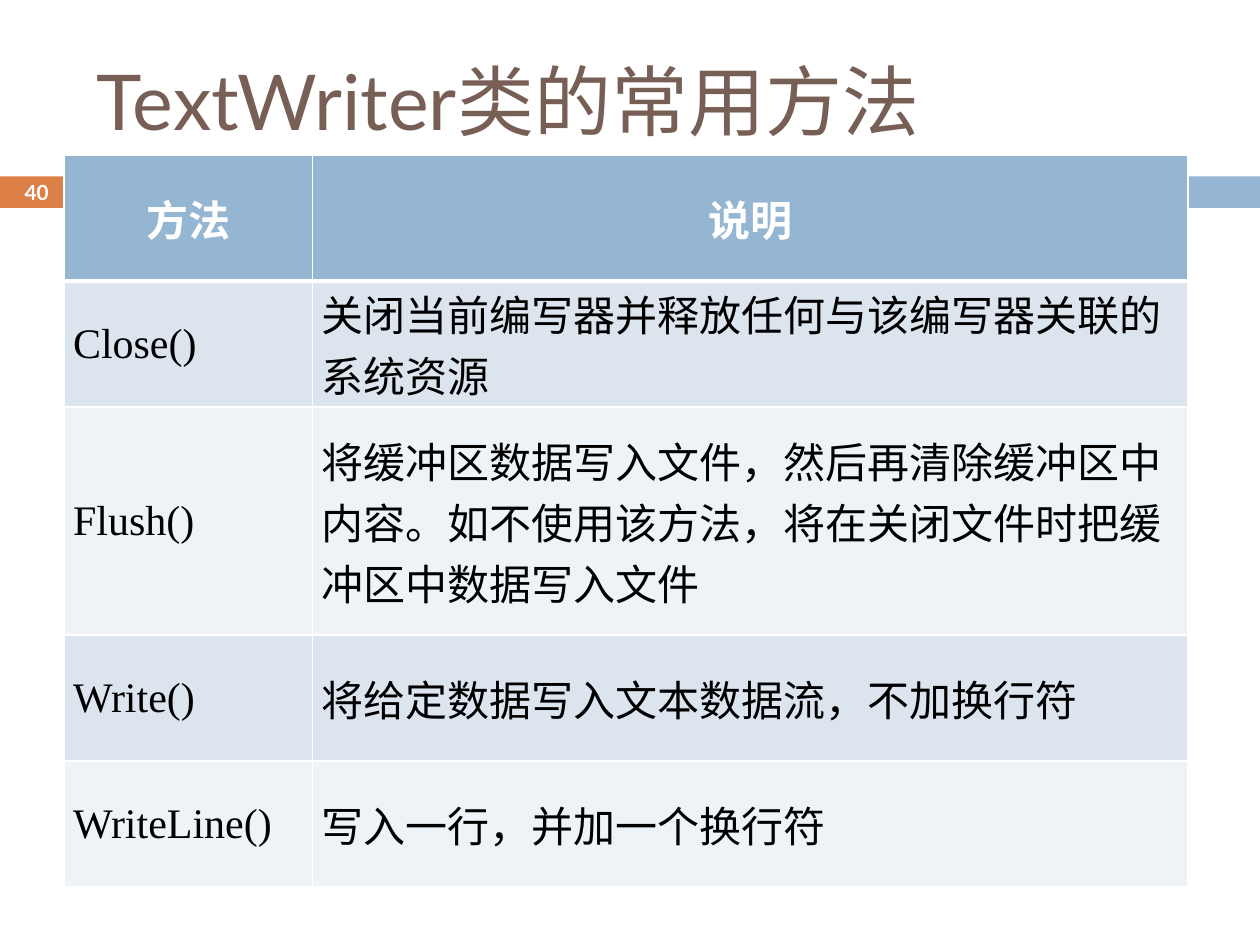
from lxml.etree import SubElement
from pptx import Presentation
from pptx.dml.color import RGBColor
from pptx.enum.shapes import MSO_SHAPE
from pptx.enum.text import MSO_ANCHOR, PP_ALIGN
from pptx.oxml.ns import qn
from pptx.util import Inches, Pt

WHITE, BLACK, BROWN = "FFFFFF", "000000", "775F55"
BLUE, ORANGE = "94B6D2", "DD8047"
BANDS = ("DCE5EE", "EEF3F7")
HEADING_FONT, TABLE_FONT = "Lato", "Times New Roman"

METHODS = [
    ("方法", "说明"),
    ("Close()", "关闭当前编写器并释放任何与该编写器关联的系统资源"),
    ("Flush()", "将缓冲区数据写入文件，然后再清除缓冲区中内容。"
                "如不使用该方法，将在关闭文件时把缓冲区中数据写入文件"),
    ("Write()", "将给定数据写入文本数据流，不加换行符"),
    ("WriteLine()", "写入一行，并加一个换行符"),
]
COLUMN_WIDTHS = (1.97, 6.95)
ROW_HEIGHTS = (1, 1, 1.81, 1, 1)


def color(hex_string):
    return RGBColor.from_string(hex_string)


def inches(box):
    return [Inches(length) for length in box]


def write(frame, text, font, size, ink, align, bold=False):
    frame.text = text
    para = frame.paragraphs[0]
    para.alignment = align
    style = para.runs[0].font
    style.name, style.size, style.bold = font, Pt(size), bold
    style.color.rgb = color(ink)


def add_bar(page, box, fill):
    bar = page.shapes.add_shape(MSO_SHAPE.RECTANGLE, *inches(box))
    bar.shadow.inherit = False
    bar.fill.solid()
    bar.fill.fore_color.rgb = color(fill)
    bar.line.fill.background()


def add_label(page, box, *style, **options):
    frame = page.shapes.add_textbox(*inches(box)).text_frame
    frame.word_wrap = True
    frame.vertical_anchor = MSO_ANCHOR.MIDDLE
    write(frame, *style, **options)
    return frame


def add_number_strip(page, box, number):
    left, top, width, height = box
    tab, gap = 0.58, 0.07
    add_bar(page, (left, top, tab, height), ORANGE)
    add_bar(page, (left + tab + gap, top, width - tab - gap, height), BLUE)
    frame = add_label(page, (left, top, tab, height), number, HEADING_FONT,
                      11.9, WHITE, PP_ALIGN.CENTER, bold=True)
    frame.margin_top = frame.margin_bottom = 0


def set_borders(cell, bottom):
    """Draw white borders; these go before the fill in the cell's XML."""
    properties = cell._tc.get_or_add_tcPr()
    for side, width in (("L", 1), ("R", 1), ("T", 1), ("B", bottom)):
        line = SubElement(properties, qn(f"a:ln{side}"), w=str(Pt(width)))
        fill = SubElement(line, qn("a:solidFill"))
        SubElement(fill, qn("a:srgbClr"), val=WHITE)


def add_method_table(page, box):
    table = page.shapes.add_table(len(METHODS), len(COLUMN_WIDTHS),
                                  *inches(box)).table
    for column, width in zip(table.columns, COLUMN_WIDTHS):
        column.width = Inches(width)
    for row, height in zip(table.rows, ROW_HEIGHTS):
        row.height = Inches(height)
    for r, texts in enumerate(METHODS):
        header = r == 0
        for c, text in enumerate(texts):
            cell = table.cell(r, c)
            set_borders(cell, 3 if header else 1)
            cell.fill.solid()
            cell.fill.fore_color.rgb = color(BLUE if header else BANDS[(r - 1) % 2])
            cell.vertical_anchor = MSO_ANCHOR.MIDDLE
            cell.margin_left = cell.margin_right = Inches(0.07)
            cell.margin_top = cell.margin_bottom = 0
            write(cell.text_frame, text, TABLE_FONT, 24,
                  WHITE if header else BLACK,
                  PP_ALIGN.CENTER if header else PP_ALIGN.LEFT, bold=header)


def main():
    deck = Presentation()
    deck.slide_width, deck.slide_height = Inches(10), Inches(7.5)
    page = deck.slides.add_slide(deck.slide_layouts[6])
    add_number_strip(page, (0, 1.4, 10, 0.25), "40")
    add_label(page, (0.67, 0.25, 8.92, 1.08), "TextWriter类的常用方法",
              HEADING_FONT, 44, BROWN, PP_ALIGN.JUSTIFY)
    add_method_table(page, (0.51, 1.23, sum(COLUMN_WIDTHS), sum(ROW_HEIGHTS)))
    deck.save("out.pptx")


if __name__ == "__main__":
    main()
